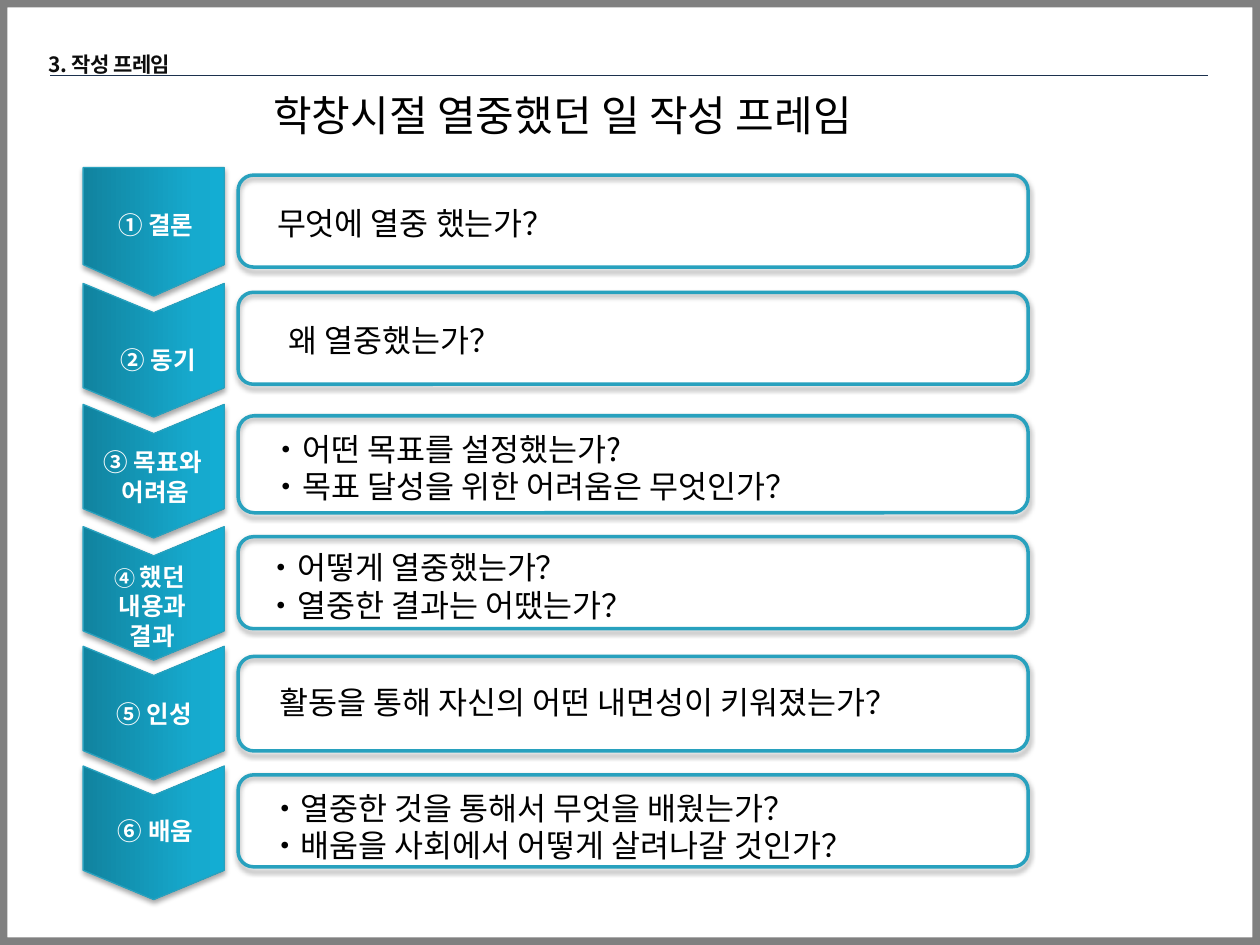
from dataclasses import dataclass

from lxml import etree
from pptx import Presentation
from pptx.dml.color import RGBColor
from pptx.enum.shapes import MSO_CONNECTOR, MSO_SHAPE
from pptx.enum.text import MSO_AUTO_SIZE, PP_ALIGN
from pptx.oxml import parse_xml
from pptx.oxml.ns import qn
from pptx.util import Inches, Pt

FRAME, CHEVRON = MSO_SHAPE.FRAME, MSO_SHAPE.CHEVRON
PENTAGON, ROUNDED = MSO_SHAPE.PENTAGON, MSO_SHAPE.ROUNDED_RECTANGLE
STRAIGHT = MSO_CONNECTOR.STRAIGHT
LEFT, CENTER = PP_ALIGN.LEFT, PP_ALIGN.CENTER
FIT_SHAPE = MSO_AUTO_SIZE.SHAPE_TO_FIT_TEXT
NAMESPACE = 'xmlns:a="http://schemas.openxmlformats.org/drawingml/2006/main"'


@dataclass(frozen=True)
class Theme:
    body_font: str = "Noto Sans CJK JP"
    header_font: str = "Noto Sans CJK KR"
    frame: str = "808080"
    text: str = "000000"
    header: str = "0D0D0D"
    on_step: str = "FFFFFF"
    outline: str = "28A1BE"
    rule: str = "1C314E"
    gradient: tuple = ((0, "11839F"), (80, "16AACE"), (100, "13ADD3"))
    title_size: int = 24
    question_size: int = 18
    label_size: int = 14
    small_size: int = 12


@dataclass(frozen=True)
class Step:
    label: tuple
    label_box: tuple
    questions: tuple
    question_box: tuple
    marker_middle: float
    panel_top: float
    panel_height: float = 0.73
    label_align: int = CENTER
    wrap: bool = False


THEME = Theme()

STEPS = (
    Step(("① 결론",), (0.84, 1.62, 0.85, 0.34),
         ("무엇에 열중 했는가？",), (2.1, 1.57, 2.65, 0.4),
         1.84, 1.39, label_align=LEFT),
    Step(("② 동기",), (0.86, 2.69, 0.85, 0.34),
         ("왜 열중했는가？",), (2.19, 2.5, 2.05, 0.4),
         2.78, 2.32, label_align=LEFT),
    Step(("③ 목표와 ", "어려움"), (0.68, 3.5, 1.11, 0.57),
         ("・어떤 목표를 설정했는가?", "・목표 달성을 위한 어려움은 무엇인가？"),
         (2.05, 3.36, 4.84, 0.71), 3.74, 3.3, 0.77),
    Step((("④ ", "했던 "), "내용과", "결과"), (0.77, 4.41, 0.88, 0.81),
         ("・어떻게 열중했는가？", "・열중한 결과는 어땠는가？"),
         (2.01, 4.3, 5.17, 0.71), 4.71, 4.26, wrap=True),
    Step(("⑤ 인성",), (0.8, 5.5, 0.85, 0.34),
         ("활동을 통해 자신의 어떤 내면성이 키워졌는가？",),
         (2.12, 5.37, 6.37, 0.4), 5.66, 5.21, 0.75, wrap=True),
    Step(("⑥ 배움",), (0.81, 6.43, 0.85, 0.34),
         ("・열중한 것을 통해서 무엇을 배웠는가？",
          "・배움을 사회에서 어떻게 살려나갈 것인가？"),
         (2.04, 6.21, 6.12, 0.71), 6.61, 6.15, wrap=True),
)


def style_font(font, size, color, bold=False, name=THEME.body_font):
    font.name, font.size, font.bold = name, Pt(size), bold
    font.color.rgb = RGBColor.from_string(color)
    latin = font._element.find(qn("a:latin"))
    latin.addnext(parse_xml(f'<a:ea {NAMESPACE} typeface="{name}"/>'))


def add_text(slide, box, lines, size, color, bold=False, align=LEFT,
             wrap=False, name=THEME.body_font):
    """Add one paragraph per line; a (marker, text) pair has a small marker."""
    frame = slide.shapes.add_textbox(*map(Inches, box)).text_frame
    frame.word_wrap, frame.auto_size = wrap, FIT_SHAPE
    for index, line in enumerate(lines):
        paragraph = frame.add_paragraph() if index else frame.paragraphs[0]
        paragraph.alignment = align
        if isinstance(line, tuple):
            for text, run_size in zip(line, (THEME.small_size, size)):
                run = paragraph.add_run()
                run.text = text
                style_font(run.font, run_size, color, bold, name)
        else:
            paragraph.text = line
            style_font(paragraph.font, size, color, bold, name)
    return frame


def add_outlined(slide, kind, box, line_width):
    shape = slide.shapes.add_shape(kind, *map(Inches, box))
    shape.fill.background()
    shape.line.color.rgb = RGBColor.from_string(THEME.outline)
    shape.line.width = Pt(line_width)
    # Soft shadow below the shape
    shape._element.spPr.append(parse_xml(
        f'<a:effectLst {NAMESPACE}><a:outerShdw blurRad="{Pt(3.1)}" '
        f'dist="{Pt(1.8)}" dir="5400000" rotWithShape="0">'
        '<a:srgbClr val="000000"><a:alpha val="35000"/></a:srgbClr>'
        '</a:outerShdw></a:effectLst>'))
    return shape


def add_marker(slide, kind, middle, length, point):
    """Add a downward arrow block, centred on the marker column."""
    center, breadth = 1.22, 1.12
    box = (center - length / 2, middle - breadth / 2, length, breadth)
    shape = add_outlined(slide, kind, box, 0.75)
    shape.rotation = 90
    shape.adjustments[0] = point
    stops = "".join(
        f'<a:gs pos="{position * 1000}"><a:srgbClr val="{color}"/></a:gs>'
        for position, color in THEME.gradient)
    properties = shape._element.spPr
    properties.replace(properties.find(qn("a:noFill")), parse_xml(
        f'<a:gradFill {NAMESPACE} rotWithShape="1"><a:gsLst>{stops}</a:gsLst>'
        '<a:lin ang="16200000" scaled="0"/></a:gradFill>'))


def add_border(slide, box):
    border = slide.shapes.add_shape(FRAME, *map(Inches, box))
    border.adjustments[0] = 0.008
    border.shadow.inherit = False
    border.fill.solid()
    border.fill.fore_color.rgb = RGBColor.from_string(THEME.frame)
    border.line.fill.background()


def add_header(slide, box):
    left, top, width, height = box
    frame = add_text(slide, (left - 0.11, top, 2.83, height), ["3. 작성 프레임"],
                     THEME.small_size, THEME.header, True, wrap=True,
                     name=THEME.header_font)
    paragraph = frame.paragraphs[0]
    paragraph.line_spacing = 1.75
    paragraph.font._element.set("spc", "-30")
    # Rule under the section name
    rule_top = Inches(top + 0.39)
    rule = slide.shapes.add_connector(
        STRAIGHT, Inches(left), rule_top, Inches(left + width), rule_top)
    rule.line.color.rgb = RGBColor.from_string(THEME.rule)
    rule.line.width = Pt(0.25)
    etree.SubElement(rule._element.spPr, qn("a:effectLst"))


def add_step(slide, step, first):
    # Arrow block and question panel
    if first:
        add_marker(slide, PENTAGON, step.marker_middle, 1.02, 0.245)
    else:
        add_marker(slide, CHEVRON, step.marker_middle, 1.06, 0.219)
    add_outlined(slide, ROUNDED,
                 (1.89, step.panel_top, 6.27, step.panel_height), 2)
    # Texts
    add_text(slide, step.question_box, step.questions,
             THEME.question_size, THEME.text, wrap=step.wrap)
    add_text(slide, step.label_box, step.label, THEME.label_size,
             THEME.on_step, True, step.label_align)


def main():
    presentation = Presentation()
    presentation.slide_width, presentation.slide_height = Inches(10), Inches(7.5)
    slide = presentation.slides.add_slide(presentation.slide_layouts[6])
    add_border(slide, (0, 0, 10, 7.5))
    add_header(slide, (0.4, 0.21, 9.19, 0.45))
    add_text(slide, (2.07, 0.66, 5.37, 0.5), ["학창시절 열중했던 일 작성 프레임"],
             THEME.title_size, THEME.text)
    for index, step in enumerate(STEPS):
        add_step(slide, step, first=index == 0)
    presentation.save("out.pptx")


if __name__ == "__main__":
    main()
